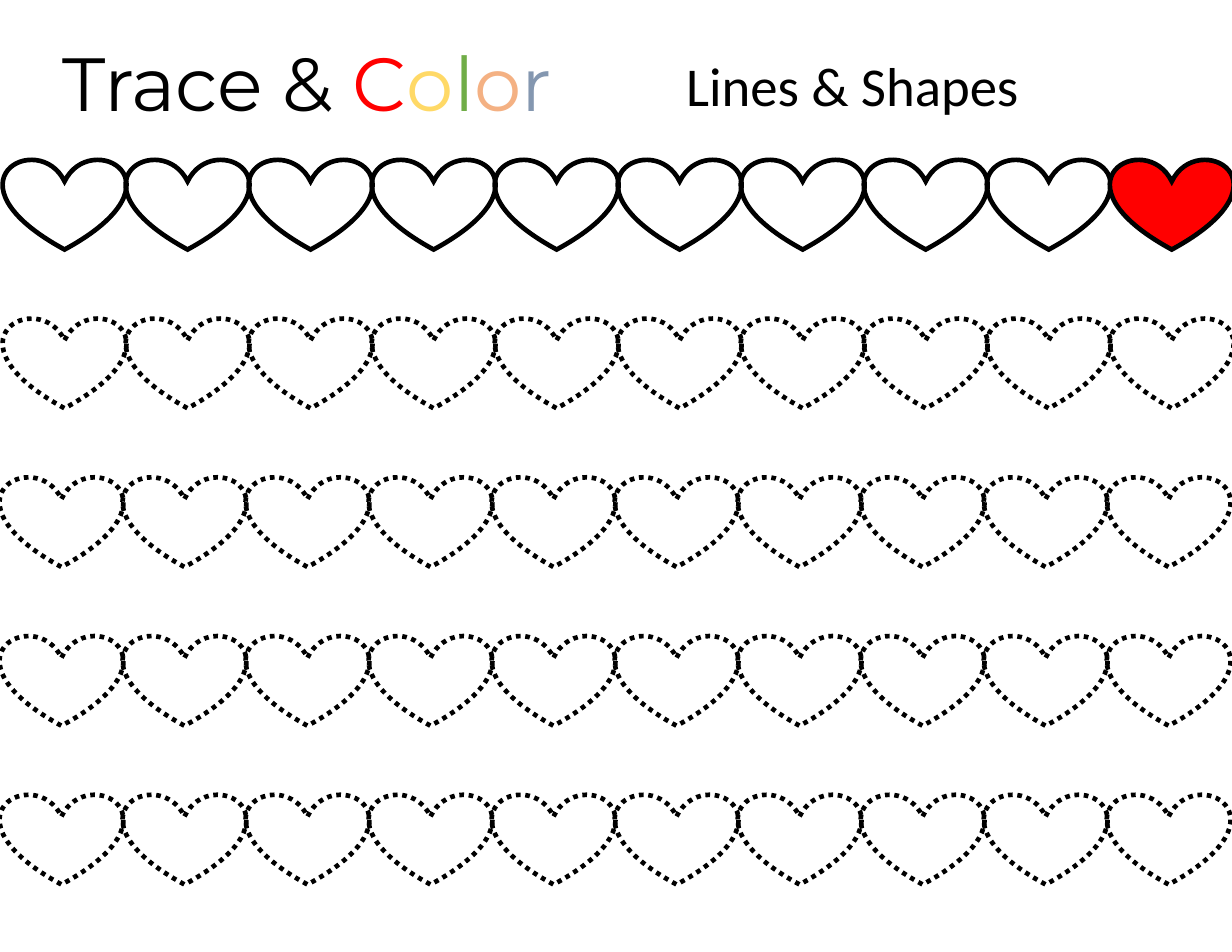
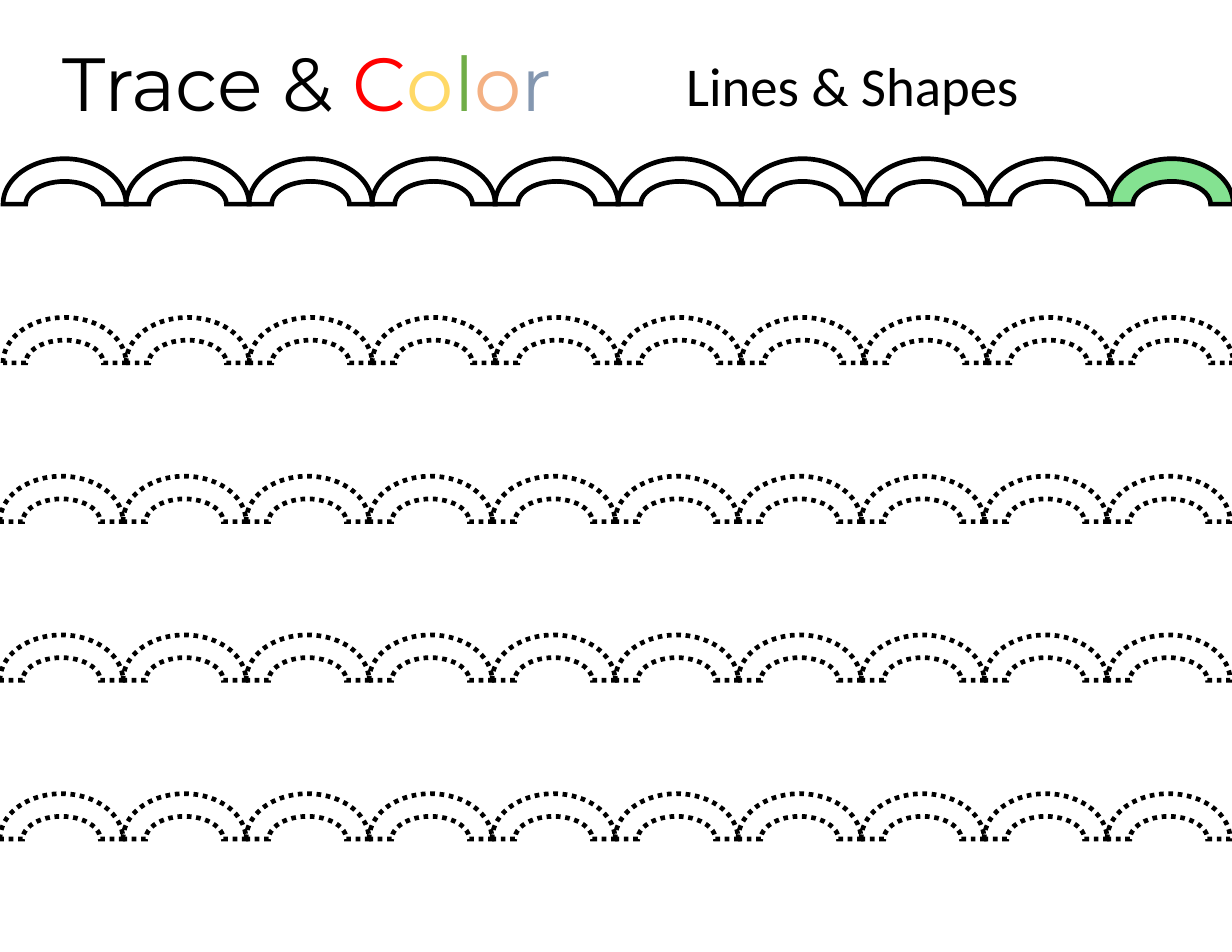
"""Build two trace-and-color worksheets with rows of repeated shapes."""
from dataclasses import dataclass

from lxml import etree
from pptx import Presentation
from pptx.dml.color import RGBColor
from pptx.enum import dml, shapes, text
from pptx.oxml.ns import qn
from pptx.util import Cm, Pt


@dataclass(frozen=True)
class Theme:
    ink: str = "000000"
    red: str = "FF0000"
    yellow: str = "FFD966"
    green: str = "70AD47"
    orange: str = "F4B183"
    blue: str = "8497B0"
    mint: str = "84E291"
    title_font: str = "Montserrat"
    topic_font: str = "Calibri"
    title_size: float = 48.4
    topic_size: float = 35.2
    outline: float = 3


theme = Theme()


def write_text(box, runs, *, font, size, align):
    """Fill a box with one line of (wording, colour) runs."""
    frame = box.text_frame
    frame.word_wrap = True
    frame.auto_size = text.MSO_AUTO_SIZE.SHAPE_TO_FIT_TEXT
    frame.vertical_anchor = text.MSO_ANCHOR.TOP
    line = frame.paragraphs[0]
    line.alignment = align
    for wording, colour in runs:
        run = line.add_run()
        run.text = wording
        run.font.name = font
        run.font.size = Pt(size)
        run.font.color.rgb = RGBColor.from_string(colour)


def draw_figure(row, kind, left, top, *, fill=None, dotted=False):
    """Add one outlined figure to a row."""
    figure = row.shapes.add_shape(kind, left, top, figure_width, figure_height)
    figure.shadow.inherit = False
    if fill:
        figure.fill.solid()
        figure.fill.fore_color.rgb = RGBColor.from_string(fill)
    else:
        figure.fill.background()
    figure.line.color.rgb = RGBColor.from_string(theme.ink)
    figure.line.width = Pt(theme.outline)
    if dotted:
        figure.line.dash_style = dml.MSO_LINE.ROUND_DOT
    etree.SubElement(figure.element.spPr.find(qn("a:ln")), qn("a:miter"), lim="800000")


deck = Presentation()
deck.slide_width, deck.slide_height = Cm(27.94), Cm(21.59)
title_only = deck.slide_layouts[5]

heading = [("Trace & ", theme.ink), ("C", theme.red), ("o", theme.yellow),
           ("l", theme.green), ("o", theme.orange), ("r", theme.blue)]
worksheets = [(shapes.MSO_SHAPE.HEART, theme.red),
              (shapes.MSO_SHAPE.BLOCK_ARC, theme.mint)]
columns = 10
figure_width, figure_height = Cm(2.79), Cm(2.06)
first_row_top, row_pitch = Cm(3.6), Cm(3.6)
row_starts = [Cm(0.07), Cm(0.07), Cm(0), Cm(0), Cm(0)]

for kind, sample_fill in worksheets:
    slide = deck.slides.add_slide(title_only)

    for row_number, row_start in enumerate(row_starts):
        row = slide.shapes.add_group_shape()
        is_sample_row = row_number == 0
        for column in range(columns):
            is_sample = is_sample_row and column == columns - 1
            draw_figure(row, kind, row_start + column * figure_width,
                        first_row_top + row_number * row_pitch,
                        fill=sample_fill if is_sample else None,
                        dotted=not is_sample_row)

    title = slide.shapes.title
    title.left, title.top, title.width, title.height = Cm(1.17), Cm(0.69), Cm(14), Cm(2.34)
    write_text(title, heading, font=theme.title_font, size=theme.title_size,
               align=text.PP_ALIGN.LEFT)

    topic = slide.shapes.add_textbox(Cm(12.83), Cm(1.04), Cm(13), Cm(1.75))
    write_text(topic, [("Lines & Shapes", theme.ink)], font=theme.topic_font,
               size=theme.topic_size, align=text.PP_ALIGN.CENTER)

deck.save("out.pptx")
